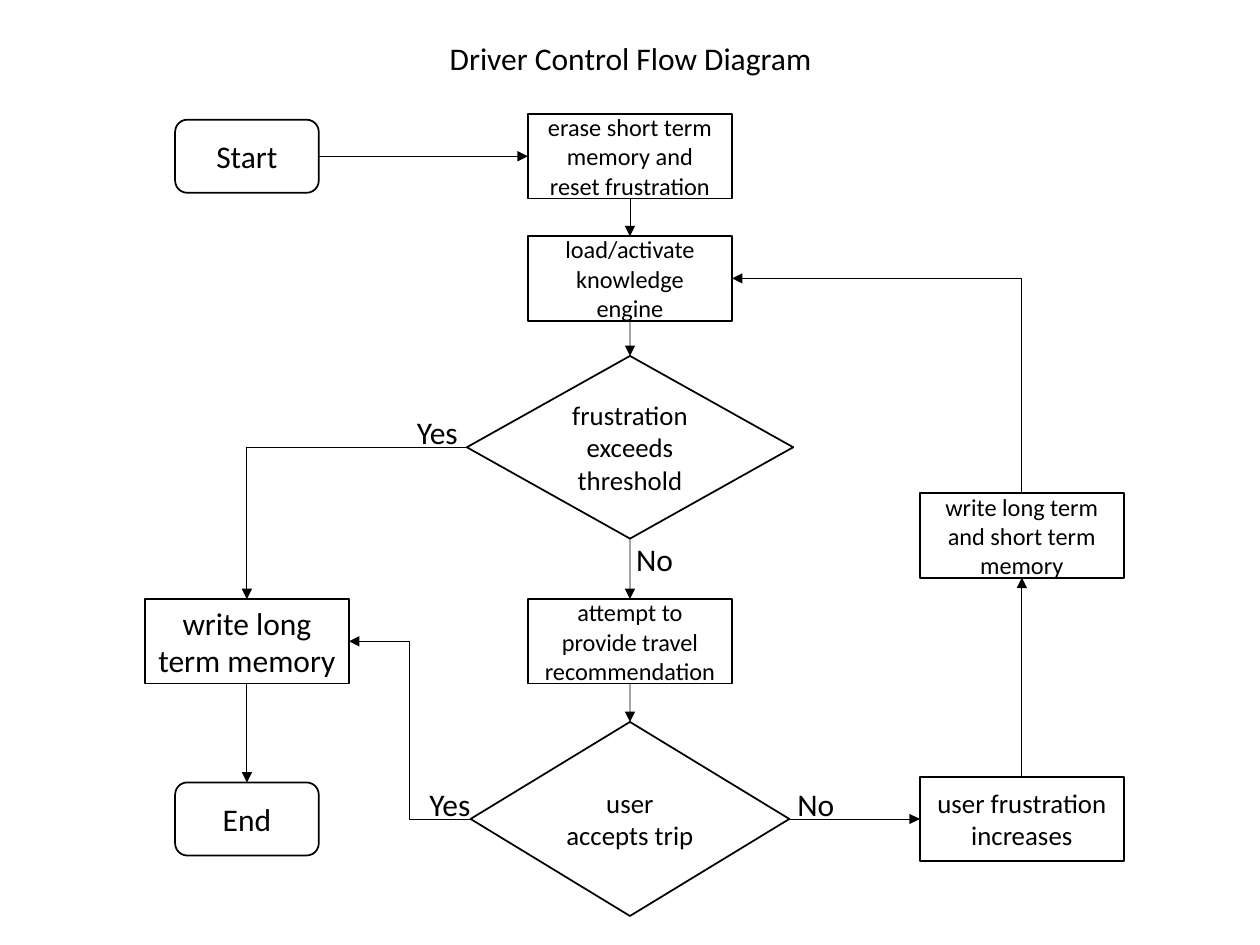
from lxml import etree
from pptx import Presentation
from pptx.dml.color import RGBColor
from pptx.enum.shapes import MSO_CONNECTOR, MSO_SHAPE
from pptx.enum.text import MSO_ANCHOR, MSO_AUTO_SIZE, PP_ALIGN
from pptx.oxml.ns import qn
from pptx.util import Inches, Pt

PROCESS = MSO_SHAPE.FLOWCHART_PROCESS
DECISION = MSO_SHAPE.FLOWCHART_DECISION
TERMINAL = MSO_SHAPE.FLOWCHART_ALTERNATE_PROCESS
STRAIGHT, ELBOW = MSO_CONNECTOR.STRAIGHT, MSO_CONNECTOR.ELBOW
TOP, LEFT, BOTTOM, RIGHT = range(4)  # connection sites

FONT, INK, PAPER = "Calibri", "000000", "FFFFFF"
LARGE, MEDIUM, SMALL = 18, 15.3, 13.9
PROCESS_SIZE, TERMINAL_SIZE = (1.62, 0.67), (1.14, 0.58)
LEFT_COLUMN, MIDDLE_COLUMN, RIGHT_COLUMN = 1.96, 5, 8.11

# Content: key -> text, shape, size, centre x, centre y, text size
TITLE = "Driver Control Flow Diagram"
STEPS = {
    "start": ("Start", TERMINAL, TERMINAL_SIZE, LEFT_COLUMN, 1.24, LARGE),
    "erase": ("erase short term memory and reset frustration",
              PROCESS, PROCESS_SIZE, MIDDLE_COLUMN, 1.24, SMALL),
    "load": ("load/activate knowledge engine",
             PROCESS, PROCESS_SIZE, MIDDLE_COLUMN, 2.21, SMALL),
    "threshold": ("frustration exceeds threshold",
                  DECISION, (2.59, 1.45), MIDDLE_COLUMN, 3.55, MEDIUM),
    "attempt": ("attempt to provide travel recommendation",
                PROCESS, PROCESS_SIZE, MIDDLE_COLUMN, 5.09, SMALL),
    "accepts": ("user accepts trip",
                DECISION, (2.53, 1.54), MIDDLE_COLUMN, 6.5, MEDIUM),
    "increases": ("user frustration increases",
                  PROCESS, PROCESS_SIZE, RIGHT_COLUMN, 6.5, MEDIUM),
    "write both": ("write long term and short term memory",
                   PROCESS, PROCESS_SIZE, RIGHT_COLUMN, 4.25, SMALL),
    "write long": ("write long term memory",
                   PROCESS, PROCESS_SIZE, LEFT_COLUMN, 5.09, LARGE),
    "end": ("End", TERMINAL, TERMINAL_SIZE, LEFT_COLUMN, 6.5, LARGE),
}
STRAIGHT_FLOWS = [
    ("start", RIGHT, "erase", LEFT),
    ("erase", BOTTOM, "load", TOP),
    ("load", BOTTOM, "threshold", TOP),
    ("threshold", BOTTOM, "attempt", TOP),
    ("attempt", BOTTOM, "accepts", TOP),
    ("accepts", RIGHT, "increases", LEFT),
    ("increases", TOP, "write both", BOTTOM),
    ("write long", BOTTOM, "end", TOP),
]
ANSWERS = [("Yes", 3.21, 3.23, 0.53), ("Yes", 3.31, 6.18, 0.53),
           ("No", 6.23, 6.18, 0.5), ("No", 4.95, 4.24, 0.5)]


def color(value):
    return RGBColor.from_string(value)


def write(frame, text, size, align):
    frame.text = text
    para = frame.paragraphs[0]
    para.alignment = align
    font = para.runs[0].font
    font.name, font.size = FONT, Pt(size)
    font.color.rgb = color(INK)


def add_step(text, kind, size, center_x, center_y, text_size):
    width, height = size
    box = page.shapes.add_shape(
        kind, Inches(center_x - width / 2), Inches(center_y - height / 2),
        Inches(width), Inches(height))
    box.shadow.inherit = False
    box.fill.solid()
    box.fill.fore_color.rgb = color(PAPER)
    box.line.color.rgb = color(INK)
    box.line.width = Pt(1)
    box.text_frame.word_wrap = True
    box.text_frame.vertical_anchor = MSO_ANCHOR.MIDDLE
    write(box.text_frame, text, text_size, PP_ALIGN.CENTER)
    return box


def add_flow(source, source_site, target, target_site, kind=STRAIGHT):
    flow = page.shapes.add_connector(kind, 0, 0, 0, 0)
    flow.begin_connect(boxes[source], source_site)
    flow.end_connect(boxes[target], target_site)
    flow.line.color.rgb = color(INK)
    flow.line.width = Pt(0.5)
    etree.SubElement(flow.line._get_or_add_ln(), qn("a:tailEnd"), type="triangle")
    etree.SubElement(flow._element.spPr, qn("a:effectLst"))
    return flow


def make_single_bend(flow):
    flow._element.spPr.find(qn("a:prstGeom")).set("prst", "bentConnector2")


def turn_upright(flow):
    """Let the bend leave vertically: rotate the frame about its centre."""
    center_x = flow.left + flow.width // 2
    center_y = flow.top + flow.height // 2
    flow.width, flow.height = flow.height, flow.width
    flow.left = center_x - flow.width // 2
    flow.top = center_y - flow.height // 2
    frame = flow._element.spPr.find(qn("a:xfrm"))
    frame.attrib.pop("flipH", None)
    frame.set("rot", str(270 * 60000))
    frame.set("flipV", "1")


deck = Presentation()
deck.slide_width, deck.slide_height = Inches(10), Inches(7.5)
page = deck.slides.add_slide(deck.slide_layouts[5])

# Title
title = page.shapes.title
title.left, title.top = Inches(3.45), Inches(0.26)
title.width, title.height = Inches(3.11), Inches(0.4)
title.text_frame.word_wrap = False
title.text_frame.auto_size = MSO_AUTO_SIZE.NONE
title.text_frame.vertical_anchor = MSO_ANCHOR.TOP
write(title.text_frame, TITLE, LARGE, PP_ALIGN.CENTER)

# Steps and straight arrows
boxes = {key: add_step(*step) for key, step in STEPS.items()}
for straight_flow in STRAIGHT_FLOWS:
    add_flow(*straight_flow)

# Bent arrows
add_flow("accepts", LEFT, "write long", RIGHT, ELBOW)
make_single_bend(add_flow("threshold", LEFT, "write long", TOP, ELBOW))
retry = add_flow("write both", TOP, "load", RIGHT, ELBOW)
make_single_bend(retry)
turn_upright(retry)

# Answers beside the decisions
for text, left, top, width in ANSWERS:
    label = page.shapes.add_textbox(
        Inches(left), Inches(top), Inches(width), Inches(0.4))
    label.text_frame.word_wrap = False
    label.text_frame.auto_size = MSO_AUTO_SIZE.SHAPE_TO_FIT_TEXT
    write(label.text_frame, text, LARGE, PP_ALIGN.LEFT)

deck.save("out.pptx")
